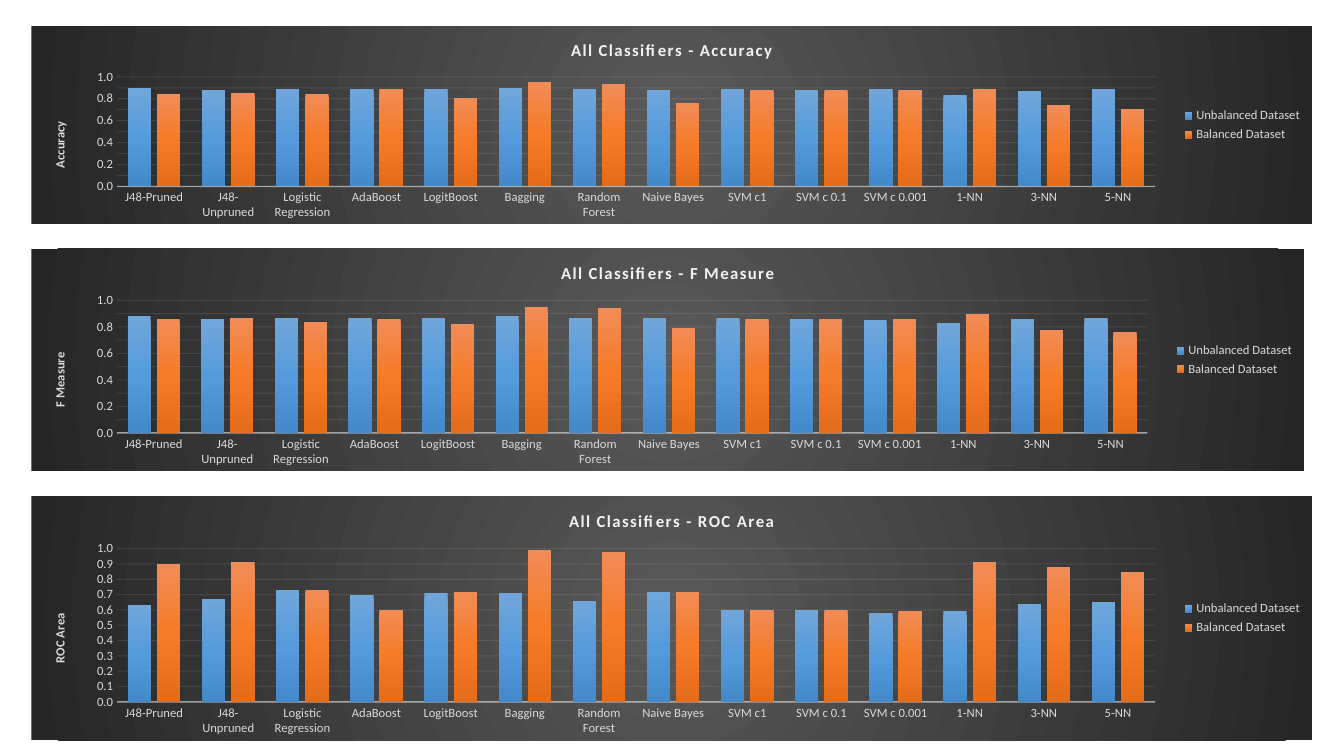
from lxml.etree import SubElement
from pptx import Presentation
from pptx.chart.data import CategoryChartData
from pptx.dml.color import RGBColor
from pptx.enum.chart import XL_CHART_TYPE as ChartType, XL_LEGEND_POSITION as LegendPosition
from pptx.enum.chart import XL_TICK_MARK as TickMark
from pptx.oxml.ns import qn
from pptx.util import Cm, Pt

CLASSIFIERS = ["J48-Pruned", "J48-Unpruned", "Logistic Regression", "AdaBoost", "LogitBoost",
               "Bagging", "Random Forest", "Naive Bayes", "SVM c1", "SVM c 0.1", "SVM c 0.001",
               "1-NN", "3-NN", "5-NN"]
DATASETS = [("Unbalanced Dataset", ["71A6DB", "559BDB", "448ACA"]),
            ("Balanced Dataset", ["F18C57", "F67B28", "E56C19"])]
MEASURES = [
    {"name": "Accuracy", "top": 0.66, "width": 32.28, "height": 4.98, "scores": [
        [0.9, 0.88, 0.89, 0.89, 0.89, 0.9, 0.89, 0.88, 0.89, 0.88, 0.89, 0.83, 0.87, 0.89],
        [0.84, 0.85, 0.84, 0.89, 0.81, 0.95, 0.93, 0.76, 0.88, 0.88, 0.88, 0.89, 0.74, 0.71]]},
    {"name": "F Measure", "top": 6.27, "width": 32.08, "height": 5.59, "scores": [
        [0.88, 0.86, 0.87, 0.87, 0.87, 0.88, 0.87, 0.87, 0.87, 0.86, 0.85, 0.83, 0.86, 0.87],
        [0.86, 0.87, 0.84, 0.86, 0.82, 0.95, 0.94, 0.79, 0.86, 0.86, 0.86, 0.9, 0.78, 0.76]]},
    {"name": "ROC Area", "top": 12.5, "width": 32.28, "height": 6.15, "scores": [
        [0.63, 0.67, 0.73, 0.7, 0.71, 0.71, 0.66, 0.72, 0.6, 0.6, 0.58, 0.59, 0.64, 0.65],
        [0.9, 0.91, 0.73, 0.6, 0.72, 0.99, 0.98, 0.72, 0.6, 0.6, 0.59, 0.91, 0.88, 0.85]]},
]
LEFT = 0.79
BACKDROP = ["595959", "262626"]
LIGHT, PALE = "F2F2F2", "D9D9D9"


def rgb(value):
    """Turn a hex string into a colour."""
    return RGBColor.from_string(value)


def add_gradient(properties, colours, radial=False):
    """Fill a shape-properties element with evenly spaced gradient stops."""
    gradient = SubElement(properties, qn("a:gradFill"), rotWithShape="1")
    stops = SubElement(gradient, qn("a:gsLst"))
    for index, colour in enumerate(colours):
        position = 100000 * index // (len(colours) - 1)
        stop = SubElement(stops, qn("a:gs"), pos=str(position))
        SubElement(stop, qn("a:srgbClr"), val=colour)
    if radial:
        circle = SubElement(gradient, qn("a:path"), path="circle")
        SubElement(circle, qn("a:fillToRect"), l="50000", t="50000", r="50000", b="50000")
    else:
        SubElement(gradient, qn("a:lin"), ang="5400000", scaled="0")


def style_line(line, owner, width, opacity):
    """Draw a light, partly transparent line."""
    line.color.rgb = rgb(LIGHT)
    line.width = Pt(width)
    for colour in owner.find(qn("c:spPr")).iter(qn("a:srgbClr")):
        SubElement(colour, qn("a:alpha"), val=str(opacity * 1000))


def write_title(title, text, size, colour):
    """Write a bold chart or axis title."""
    paragraph = title.text_frame.paragraphs[0]
    paragraph.text = text
    font = paragraph.font
    font.name, font.size, font.bold = "Calibri", Pt(size), True
    font.color.rgb = rgb(colour)


def style_backdrop(chart):
    """Give the chart its radial background without a border."""
    properties = chart.element.makeelement(qn("c:spPr"))
    chart.element.find(qn("c:chart")).addnext(properties)
    add_gradient(properties, BACKDROP, radial=True)
    SubElement(SubElement(properties, qn("a:ln")), qn("a:noFill"))


def style_axes(chart, name):
    """Format the classifier axis and the score axis."""
    classifiers, scores = chart.category_axis, chart.value_axis
    for axis in (classifiers, scores):
        axis.major_tick_mark = axis.minor_tick_mark = TickMark.NONE
    baseline = next(chart.element.iter(qn("c:catAx")))
    style_line(classifiers.format.line, baseline, 1, 54)
    scores.minimum_scale, scores.maximum_scale, scores.major_unit = 0, 1, 0.1
    scores.tick_labels.number_format = "0.0"
    scores.tick_labels.number_format_is_linked = False
    scores.format.line.fill.background()
    grid = scores.major_gridlines.format.line
    style_line(grid, next(chart.element.iter(qn("c:majorGridlines"))), 0.75, 10)
    write_title(scores.axis_title, name, 9, PALE)


def add_measure(slide, name, top, width, height, scores):
    """Add the column chart of one measure."""
    data = CategoryChartData(number_format="0.00")
    data.categories = CLASSIFIERS
    for (dataset, _), values in zip(DATASETS, scores):
        data.add_series(dataset, values)
    chart = slide.shapes.add_chart(ChartType.COLUMN_CLUSTERED, Cm(LEFT), Cm(top),
                                   Cm(width), Cm(height), data).chart
    chart.font.name, chart.font.size = "Calibri", Pt(9)
    chart.font.color.rgb = rgb(PALE)
    style_backdrop(chart)
    write_title(chart.chart_title, f"All Classifiers - {name}", 12, LIGHT)
    for properties in next(chart.element.iter(qn("c:title"))).iter(qn("a:defRPr")):
        properties.set("spc", "100")
    chart.has_legend = True
    chart.legend.position = LegendPosition.RIGHT
    chart.legend.include_in_layout = False
    style_axes(chart, name)
    columns = chart.plots[0]
    columns.gap_width, columns.overlap, columns.vary_by_categories = 92, -25, False
    for series, (_, colours) in zip(chart.element.iter(qn("c:ser")), DATASETS):
        add_gradient(series.get_or_add_spPr(), colours)


deck = Presentation()
deck.slide_width, deck.slide_height = Cm(33.87), Cm(19.05)
measures_slide = deck.slides.add_slide(deck.slide_layouts[6])
for measure in MEASURES:
    add_measure(measures_slide, **measure)
deck.save("out.pptx")
